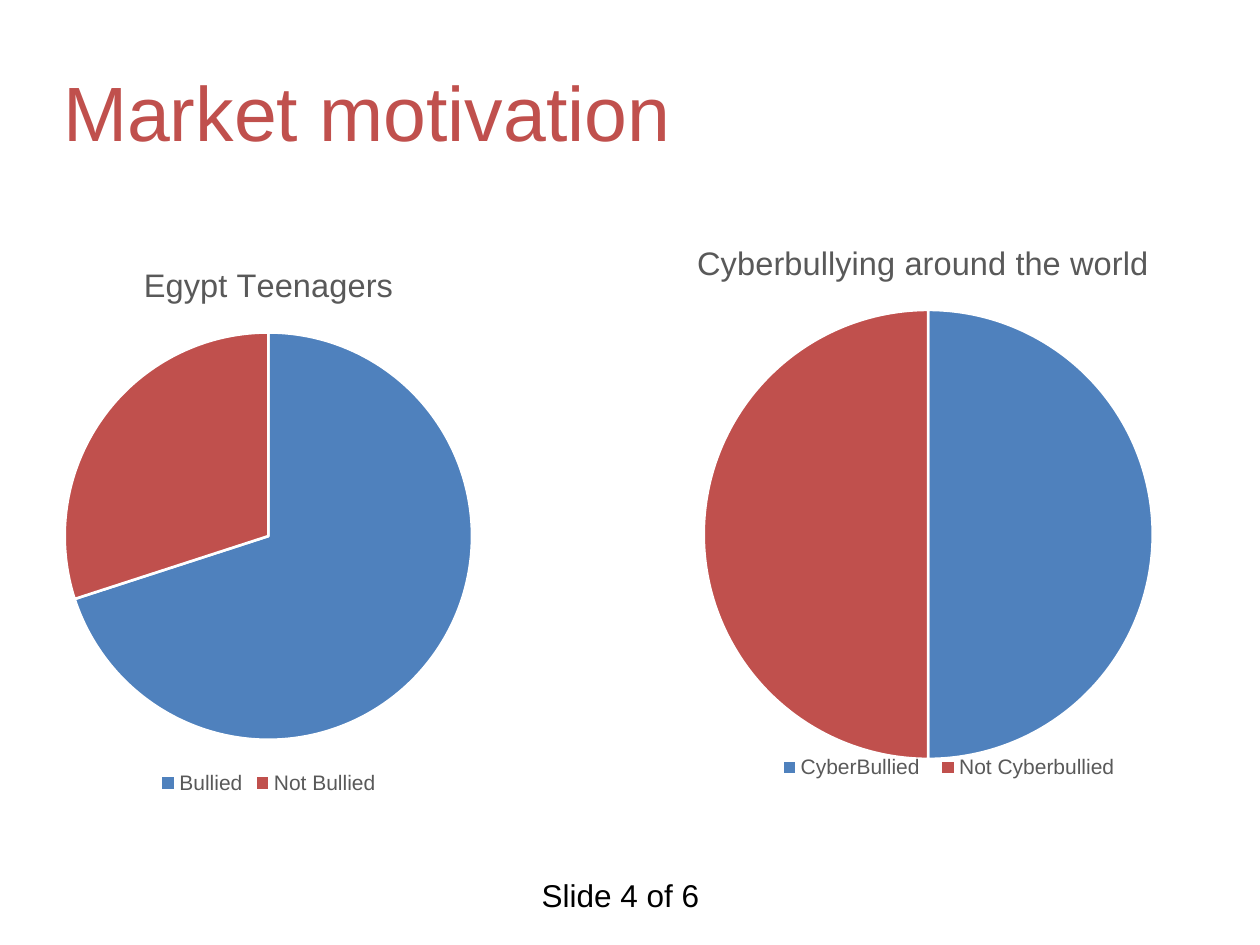
from pptx import Presentation
from pptx.chart.data import CategoryChartData as Data
from pptx.dml.color import RGBColor as RGB
from pptx.enum.chart import XL_CHART_TYPE as Kind, XL_LEGEND_POSITION as Side
from pptx.enum.text import MSO_ANCHOR as Anchor, PP_ALIGN as Align
from pptx.oxml import parse_xml
from pptx.oxml.ns import nsdecls
from pptx.util import Pt

HUES = {"blue": "4F81BD", "red": "C0504D", "gray": "595959",
        "black": "000000", "white": "FFFFFF"}


class Deck:
    face = "Arial"

    def __init__(self, wide, high):
        self.prs = Presentation()
        self.prs.slide_width, self.prs.slide_height = Pt(wide), Pt(high)
        self.slide = self.prs.slides.add_slide(self.prs.slide_layouts[5])

    def hue(self, name):
        return RGB.from_string(HUES[name])

    def style(self, font, size, hue):
        font.name, font.size, font.bold = self.face, Pt(size), False
        font.color.rgb = self.hue(hue)

    def title(self, text, box):
        shape = self.slide.shapes.title
        shape.left, shape.top, shape.width, shape.height = map(Pt, box)
        frame = shape.text_frame
        frame.text = text
        frame.word_wrap = True
        frame.vertical_anchor = Anchor.MIDDLE
        frame.margin_left = frame.margin_right = 0
        frame.margin_top = frame.margin_bottom = 0
        para = frame.paragraphs[0]
        para.alignment = Align.LEFT
        para.line_spacing = 0.9
        self.style(para.runs[0].font, 44, "red")

    def label(self, text, box):
        frame = self.slide.shapes.add_textbox(*map(Pt, box)).text_frame
        frame.text = text
        frame.word_wrap = True
        self.style(frame.paragraphs[0].runs[0].font, 18, "black")

    def place(self, x, y, w, h, inner=False):
        """Manual chart layout, as fractions of the chart frame."""
        target = '<c:layoutTarget val="inner"/>' if inner else ""
        return parse_xml(
            f'<c:layout {nsdecls("c")}><c:manualLayout>{target}'
            '<c:xMode val="edge"/><c:yMode val="edge"/>'
            f'<c:x val="{x:.3f}"/><c:y val="{y:.3f}"/>'
            f'<c:w val="{w:.3f}"/><c:h val="{h:.3f}"/>'
            '</c:manualLayout></c:layout>')

    def pie(self, title, parts, box, top, size, key=None):
        data = Data()
        data.categories = list(parts)
        data.add_series("Series 1", list(parts.values()))
        chart = self.slide.shapes.add_chart(Kind.PIE, *map(Pt, box), data).chart
        self.style(chart.font, 10, "black")

        # Heading and legend
        chart.has_title = True
        frame = chart.chart_title.text_frame
        frame.text = title
        self.style(frame.paragraphs[0].runs[0].font, 18.6, "gray")
        chart.has_legend = True
        chart.legend.position = Side.BOTTOM
        chart.legend.include_in_layout = False
        self.style(chart.legend.font, 12, "gray")

        # Slices
        plot = chart.plots[0]
        plot.vary_by_categories = True
        for i, name in enumerate(("blue", "red")):
            look = plot.series[0].points[i].format
            look.fill.solid()
            look.fill.fore_color.rgb = self.hue(name)
            look.line.color.rgb = self.hue("white")
            look.line.width = Pt(1.5)

        # Centred circle, and legend place where one is given
        area = chart.element.xpath("c:chart/c:plotArea")[0]
        for old in area.xpath("c:layout"):
            area.remove(old)
        wide, high = size / box[2], size / box[3]
        area.insert(0, self.place((1 - wide) / 2, top / box[3], wide, high, True))
        if key:
            spot = chart.element.xpath("c:chart/c:legend")[0]
            for old in spot.xpath("c:layout"):
                spot.remove(old)
            spot.xpath("c:legendPos")[0].addnext(self.place(*key))


def main():
    deck = Deck(720, 540)
    deck.title("Market motivation", (36, 21.6, 648, 90))
    deck.pie("Egypt Teenagers", {"Bullied": 70, "Not Bullied": 30},
             (-86.4, 136.8, 480, 320), 53, 233)
    deck.pie("Cyberbullying around the world ",
             {"CyberBullied": 50, "Not Cyberbullied": 50},
             (290.2, 123.8, 480, 344), 53.4, 256.6, (0.31, 0.88, 0.43, 0.07))
    deck.label("Slide 4 of 6", (302.4, 496.8, 122.4, 37.4))
    deck.prs.save("out.pptx")


if __name__ == "__main__":
    main()
